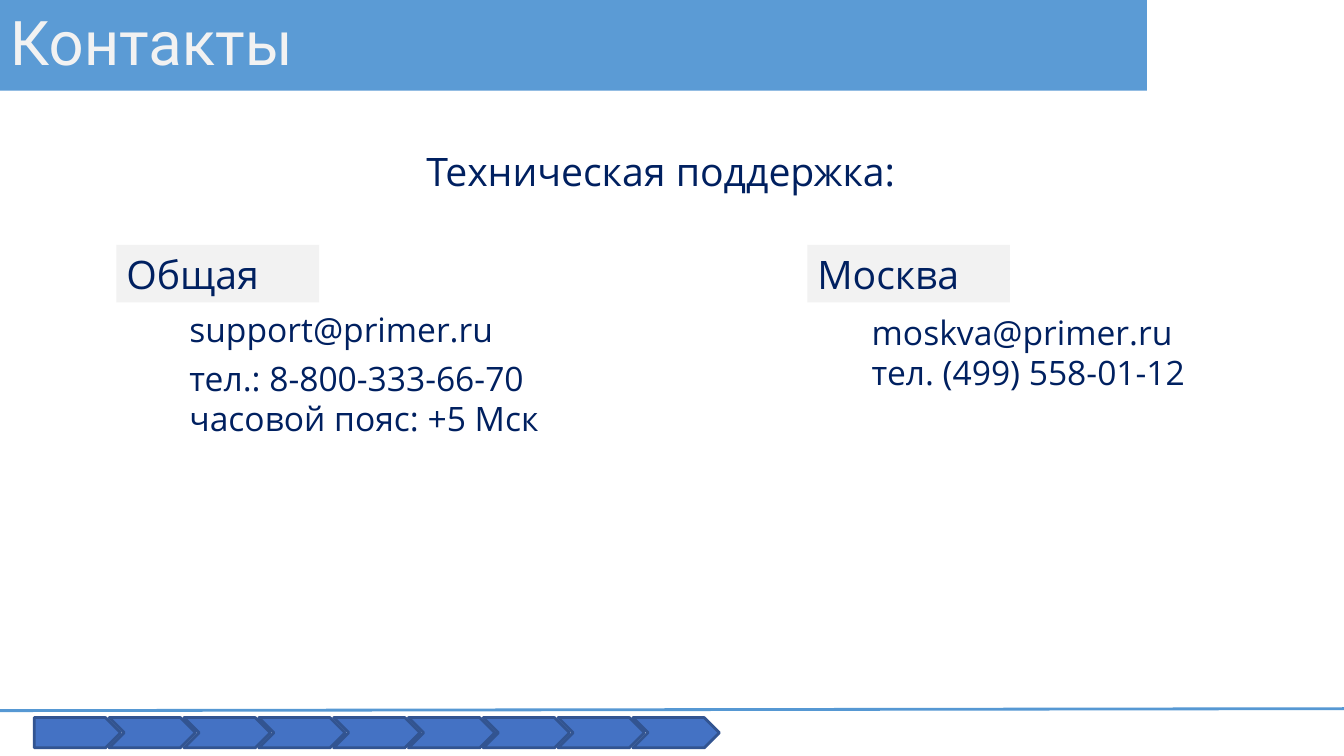
from dataclasses import dataclass

from lxml import etree
from pptx import Presentation
from pptx import util as u
from pptx.dml.color import RGBColor
from pptx.enum import shapes, text
from pptx.oxml import ns

Pt = u.Pt


@dataclass(frozen=True)
class Theme:
    """Colours, fonts and type sizes of the slide."""
    band: str = "5B9BD5"
    rule: str = "5698D3"
    step: str = "4472C4"
    step_line: str = "325491"
    pale: str = "F2F2F2"
    ink: str = "002060"
    title_font: str = "Roboto"
    body_font: str = "Open Sans"
    title_size: int = 44
    heading_size: int = 28
    body_size: int = 24


THEME = Theme()


def add_box(page, kind, area, fill, line=None):
    """Add a preset shape with a flat fill and an optional outline."""
    box = page.shapes.add_shape(kind, *map(Pt, area))
    box.shadow.inherit = False
    box.fill.solid()
    box.fill.fore_color.rgb = RGBColor.from_string(fill)
    if line:
        box.line.color.rgb = RGBColor.from_string(line)
        box.line.width = Pt(2)
    else:
        box.line.fill.background()
    return box


def write(box, lines, *, size, color=THEME.ink, font=THEME.body_font,
          align=text.PP_ALIGN.LEFT, anchor=text.MSO_ANCHOR.MIDDLE,
          indent=0, spacing=None, gap=0):
    """Write lines into a box, with a gap after the first one."""
    frame = box.text_frame
    frame.word_wrap = True
    frame.vertical_anchor = anchor
    for index, line in enumerate(lines):
        para = frame.add_paragraph() if index else frame.paragraphs[0]
        para.alignment = align
        if indent:
            para._p.get_or_add_pPr().set("marL", str(Pt(indent)))
        if spacing:
            para.line_spacing = spacing
        if index == 1 and gap:
            para.space_before = Pt(gap)
        span = para.add_run()
        span.text = line
        span.font.name = font
        span.font.size = Pt(size)
        span.font.color.rgb = RGBColor.from_string(color)


def add_title(page, area, title):
    """Draw the title band."""
    band = add_box(page, shapes.MSO_SHAPE.RECTANGLE, area, THEME.band)
    write(band, [title], size=THEME.title_size, color=THEME.pale,
          font=THEME.title_font, spacing=0.9)


def add_subtitle(page, area, subtitle):
    """Write the centred line under the title band."""
    box = page.shapes.add_textbox(*map(Pt, area))
    write(box, [subtitle], size=THEME.heading_size, align=text.PP_ALIGN.CENTER)


def add_contact(page, area, heading, lines, *, shift, drop, gap=0):
    """Draw a heading tag and the contact lines below it."""
    left, top, width, height = area
    tag = add_box(page, shapes.MSO_SHAPE.RECTANGLE,
                  (left, top, 144.7, 41), THEME.pale)
    write(tag, [heading], size=THEME.heading_size, anchor=text.MSO_ANCHOR.TOP)
    details = page.shapes.add_textbox(
        Pt(left + shift), Pt(top + drop), Pt(width - shift), Pt(height - drop))
    write(details, lines, size=THEME.body_size, indent=36, gap=gap)


def add_footer(page, area, steps=9):
    """Draw the footer rule and the row of arrow steps."""
    left, top, width, height = area
    rule = page.shapes.add_connector(
        shapes.MSO_CONNECTOR.STRAIGHT,
        Pt(left), Pt(top + 1.4), Pt(left + width), Pt(top))
    rule.line.color.rgb = RGBColor.from_string(THEME.rule)
    rule.line.width = Pt(2)
    etree.SubElement(rule._element.spPr, ns.qn("a:effectLst"))
    for index in range(steps):
        kind = shapes.MSO_SHAPE.CHEVRON if index else shapes.MSO_SHAPE.PENTAGON
        place = (left + 24.5 + 53.45 * index, top + 6.4, 61.7, height - 12.2)
        add_box(page, kind, place, THEME.step, THEME.step_line)


def main():
    """Build the contacts slide and save the deck."""
    deck = Presentation()
    deck.slide_width, deck.slide_height = Pt(960), Pt(540)
    page = deck.slides.add_slide(deck.slide_layouts[6])
    add_footer(page, (0, 506.2, 960, 33.8))
    add_title(page, (0, 0, 819.3, 64.8), "Контакты")
    add_subtitle(page, (283.7, 100.8, 376.5, 43.2), "Техническая поддержка:")
    add_contact(page, (83.2, 175, 327.9, 136), "Общая",
                ["support@primer.ru", "тел.: 8-800-333-66-70",
                 "часовой пояс: +5 Мск"], shift=9, drop=47.5, gap=6)
    add_contact(page, (576.7, 175, 302.4, 121), "Москва",
                ["moskva@primer.ru", "тел. (499) 558-01-12"],
                shift=2.9, drop=32.4)
    deck.save("out.pptx")


if __name__ == "__main__":
    main()
